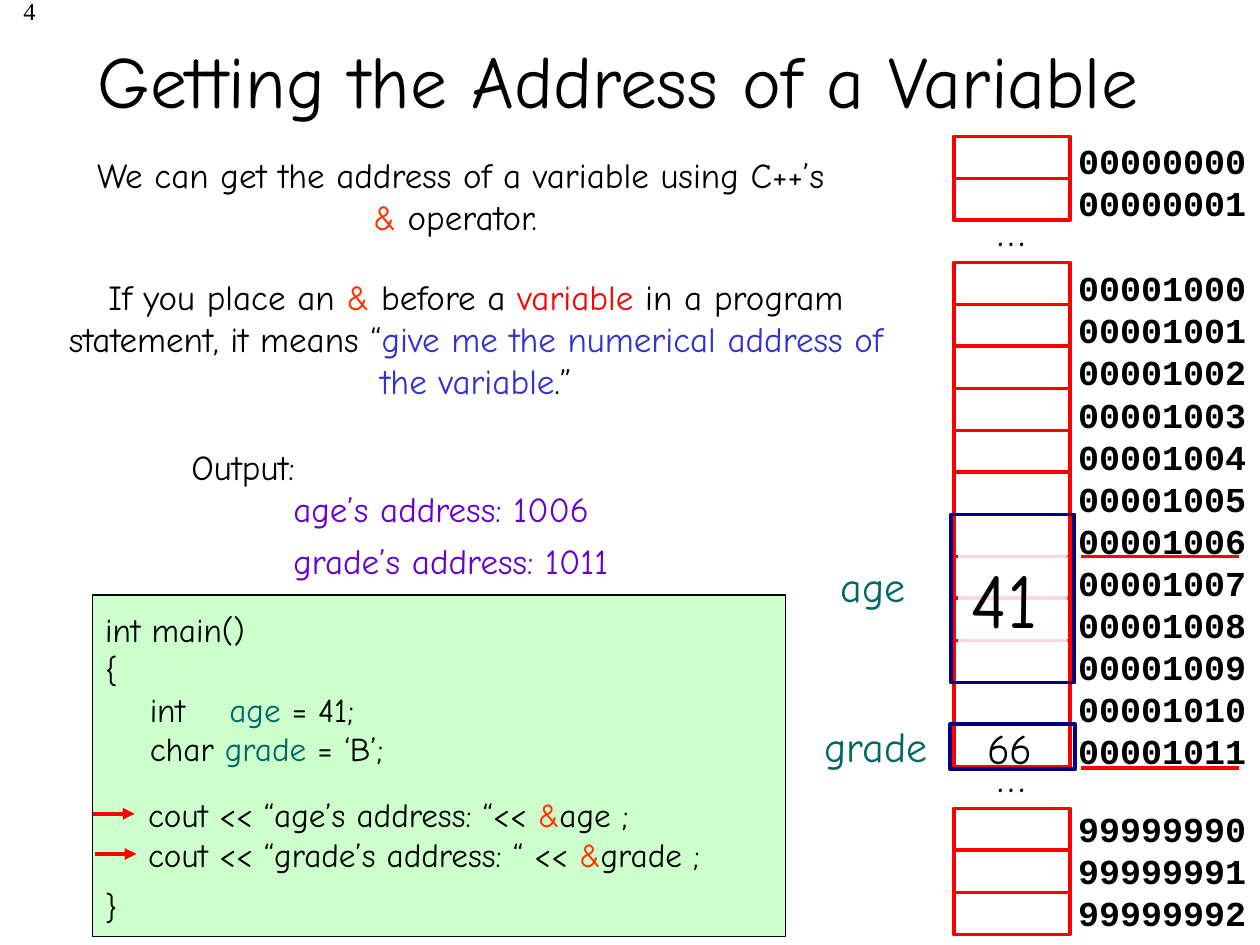
from lxml.etree import SubElement
from pptx import Presentation
from pptx.dml.color import RGBColor
from pptx.enum.shapes import MSO_CONNECTOR as CONNECTOR, MSO_SHAPE as SHAPE
from pptx.enum.text import MSO_ANCHOR as ANCHOR, PP_ALIGN as ALIGN
from pptx.oxml.ns import qn
from pptx.util import Pt

COLORS = {
    "black": "000000", "white": "FFFFFF", "red": "FF0000", "orange": "FF3300",
    "blue": "3333CC", "navy": "000080", "teal": "006666", "purple": "6600CC",
    "green": "CCFFCC",
}
FONT = "Comic Neue"

# A paragraph is a string or a list of runs; a run is a string or (text, color).
TITLE = "Getting the Address of a Variable "
AMPERSAND = ("&", "orange")
EXPLANATIONS = [
    ((42, 84, 443, 55),
     ["We can get the address of a variable using C++’s ", AMPERSAND, " operator. "]),
    ((28, 154, 488, 80),
     ["If you place an ", AMPERSAND, " before a ", ("variable", "red"),
      " in a program statement, it means “",
      ("give me the numerical address of the variable", "blue"), ".”"]),
]
OUTPUT = ["age’s address: 1006", "grade’s address: 1011"]
CODE = [
    "int main()",
    "{",
    ["\tint\t", ("age", "teal"), " = 41;"],
    ["\tchar ", ("grade ", "teal"), "= ‘B’;"],
    "}",
]
PRINT_CODE = [
    ["cout << “age’s address: “<< ", AMPERSAND, "age ;"],
    ["cout << “grade’s address: “ << ", AMPERSAND, "grade ;"],
]
# (top of cells, top of labels, first address, number of cells)
MEMORY_BLOCKS = [(78, 76, 0, 2), (150, 149, 1000, 12), (462, 458, 99999990, 3)]
ELLIPSIS_TOPS = [113.5, 425.5]
VARIABLE_LABELS = [("age", 473.5, 317), ("grade", 464, 408)]

CELL_LEFT, CELL_WIDTH, ROW = 545, 66.5, 24
CODE_INDENT, NAME_TAB = 25.5, 71


def rgb(name):
    return RGBColor.from_string(COLORS[name])


def write_text(shape, paragraphs, size=20, font=FONT, color="black", bold=False,
               align=ALIGN.LEFT, anchor=ANCHOR.TOP, wrap=True, line_spacing=None, indent=0):
    frame = shape.text_frame
    frame.word_wrap = wrap
    frame.vertical_anchor = anchor
    for index, runs in enumerate(paragraphs):
        paragraph = frame.add_paragraph() if index else frame.paragraphs[0]
        paragraph.alignment = align
        if line_spacing:
            paragraph.line_spacing = Pt(line_spacing)
        if indent:
            paragraph._p.get_or_add_pPr().set("marL", str(Pt(indent)))
        for part in [runs] if isinstance(runs, str) else runs:
            text, run_color = (part, color) if isinstance(part, str) else part
            run = paragraph.add_run()
            run.text = text
            run.font.size = Pt(size)
            run.font.name = font
            run.font.bold = bold
            run.font.color.rgb = rgb(run_color)
    return frame


def add_text(slide, box, paragraphs, **text_format):
    shape = slide.shapes.add_textbox(*map(Pt, box))
    return write_text(shape, paragraphs, **text_format)


def add_box(slide, box, fill=None, line=None, weight=2.25):
    shape = slide.shapes.add_shape(SHAPE.RECTANGLE, *map(Pt, box))
    shape.shadow.inherit = False
    if fill:
        shape.fill.solid()
        shape.fill.fore_color.rgb = rgb(fill)
    else:
        shape.fill.background()
    if line:
        shape.line.color.rgb = rgb(line)
        shape.line.width = Pt(weight)
    else:
        shape.line.fill.background()
    return shape


def add_red_line(slide, left, right, y, arrow=False):
    line = slide.shapes.add_connector(CONNECTOR.STRAIGHT, Pt(left), Pt(y), Pt(right), Pt(y))
    line.line.color.rgb = rgb("red")
    line.line.width = Pt(2.25)
    if arrow:
        SubElement(line.line._get_or_add_ln(), qn("a:tailEnd"), type="triangle")
    SubElement(line._element.spPr, qn("a:effectLst"))


def add_code(slide):
    add_box(slide, (53, 340, 396, 195), "green", "black", 0.75)
    frame = add_text(slide, (53, 344.5, 365, 191), CODE, size=19)
    for paragraph in frame.paragraphs[2:4]:
        tabs = SubElement(paragraph._p.get_or_add_pPr(), qn("a:tabLst"))
        for position in (CODE_INDENT, NAME_TAB):
            SubElement(tabs, qn("a:tab"), pos=str(Pt(position)), algn="l")
    frame.paragraphs[-1].space_before = Pt(67.5)
    add_text(slide, (52, 404.5, 370, 98.5), PRINT_CODE, size=19, wrap=False,
             anchor=ANCHOR.BOTTOM, indent=CODE_INDENT)
    for left, y in ((53, 465), (54, 488)):
        add_red_line(slide, left, left + 24, y, arrow=True)


def add_memory(slide):
    for top, label_top, first, count in MEMORY_BLOCKS:
        for row in range(count):
            add_box(slide, (CELL_LEFT, top + row * ROW, CELL_WIDTH, ROW), line="red")
        addresses = [f"{first + row:08d}" for row in range(count)]
        frame = add_text(slide, (609, label_top, 110.5, count * ROW + 7), addresses,
                         font="Courier New", bold=True, wrap=False, line_spacing=ROW)
        frame.margin_right = 0
    for top in ELLIPSIS_TOPS:
        add_text(slide, (563, top, 31, 36), ["…"], size=24, wrap=False)


def add_variables(slide):
    for name, left, top in VARIABLE_LABELS:
        add_text(slide, (left, top, 75, 36.5), [name], size=24, color="teal", wrap=False)

    age_top, grade_top = (MEMORY_BLOCKS[1][0] + row * ROW for row in (6, 11))
    add_box(slide, (543.5, age_top, 70.5, 4 * ROW), line="navy")
    value = add_box(slide, (547.5, 311.5, 62.5, 60), "white")
    color = value.fill._xPr.find(qn("a:solidFill"))[0]
    SubElement(color, qn("a:alpha"), val="85000")
    write_text(value, ["41"], size=44)
    add_box(slide, (543, grade_top, 71.5, 25.5), line="navy")
    add_text(slide, (557, 409.5, 44, 36), ["66"], size=24, wrap=False)
    for y in (age_top + ROW, grade_top + ROW + 1):
        add_red_line(slide, 618, 708, y)


def main():
    presentation = Presentation()
    presentation.slide_width, presentation.slide_height = Pt(720), Pt(540)
    slide = presentation.slides.add_slide(presentation.slide_layouts[5])

    add_code(slide)
    add_memory(slide)
    add_variables(slide)

    title = slide.shapes.title
    title.left, title.top, title.width, title.height = map(Pt, (8, 0, 704, 90))
    write_text(title, [TITLE], size=42, align=ALIGN.CENTER, anchor=ANCHOR.MIDDLE)
    add_text(slide, (0, -6, 27.5, 36), ["4"], size=14, font="Times New Roman",
             align=ALIGN.RIGHT)
    for box, runs in EXPLANATIONS:
        add_text(slide, box, [runs], align=ALIGN.CENTER)
    add_text(slide, (95, 251, 88, 31.5), ["Output:"], align=ALIGN.CENTER, wrap=False)
    for index, text in enumerate(OUTPUT):
        add_text(slide, (160.5, 275 + index * 29.5, 289.5, 31.5), [text], color="purple")

    presentation.save("out.pptx")


if __name__ == "__main__":
    main()
